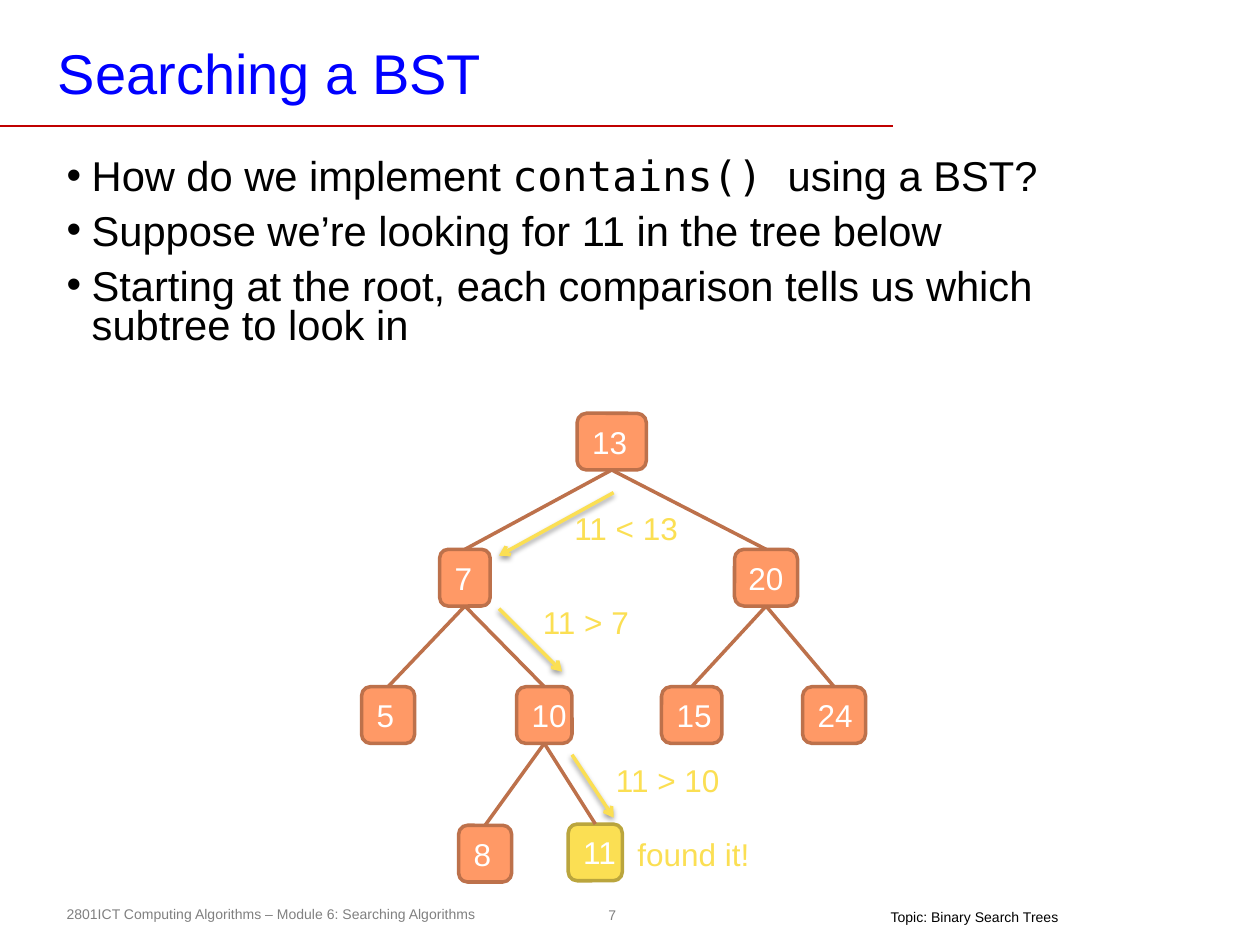
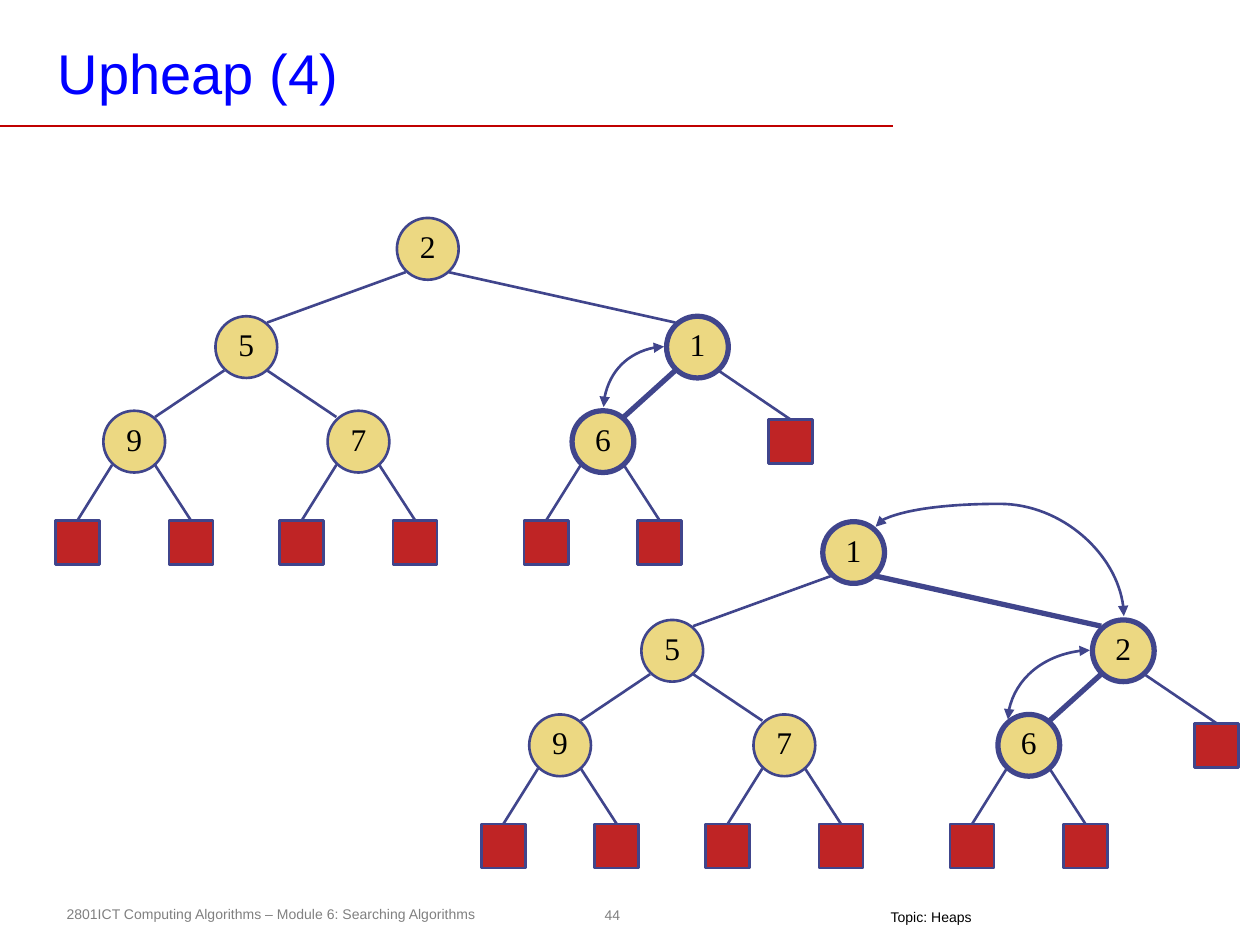
from lxml import etree
from pptx import Presentation
from pptx.dml.color import RGBColor
from pptx.enum.shapes import MSO_CONNECTOR, MSO_SHAPE
from pptx.enum.text import MSO_ANCHOR, PP_ALIGN
from pptx.oxml.ns import qn
from pptx.util import Inches, Pt

RECT, ROUND, OVAL = MSO_SHAPE.RECTANGLE, MSO_SHAPE.ROUNDED_RECTANGLE, MSO_SHAPE.OVAL
LINE, CURVE = MSO_CONNECTOR.STRAIGHT, MSO_CONNECTOR.CURVE
LEFT, CENTER = PP_ALIGN.LEFT, PP_ALIGN.CENTER
TOP, MIDDLE = MSO_ANCHOR.TOP, MSO_ANCHOR.MIDDLE

COLORS = {
    "title": "0000FF", "rule": "C00000", "footer": "808080",
    "black": "000000", "white": "FFFFFF",
    "node": "FF9966", "edge": "BD714B", "found": "FBDF53", "rim": "BAA53D",
    "disc": "ECD882", "leaf": "BF2425", "ink": "40458C",
}
SANS, MONO, SERIF = "Arial", "DejaVu Sans Mono", "Times New Roman"
PAD = (0.1, 0.05, 0.1, 0.05)
COURSE = "2801ICT Computing Algorithms – Module 6: Searching Algorithms"

# Search tree: value -> left, top, width, parent
TREE = {
    13: (4.58, 3.28, 0.55, None),
    7: (3.49, 4.36, 0.4, 13),
    20: (5.83, 4.36, 0.5, 13),
    5: (2.87, 5.45, 0.42, 7),
    10: (4.1, 5.45, 0.44, 7),
    15: (5.25, 5.45, 0.48, 20),
    24: (6.37, 5.45, 0.5, 20),
    8: (3.64, 6.55, 0.42, 10),
    11: (4.51, 6.54, 0.43, 10),
}
# Comparisons: arrow start, arrow end, label place, label
STEPS = [
    ((4.87, 3.91), (3.96, 4.41), (4.46, 3.99), "11 < 13"),
    ((3.96, 4.83), (4.46, 5.33), (4.21, 4.74), "11 > 7"),
    ((4.54, 5.99), (4.87, 6.49), (4.79, 5.99), "11 > 10"),
]
# Heap discs: centre x, centre y, index of the parent
DISCS = [
    (3.39, 1.97, None), (1.95, 2.75, 0), (5.53, 2.75, 0),
    (1.06, 3.5, 1), (2.84, 3.5, 1), (4.78, 3.5, 2),
]
LEAVES = [(6.27, 3.5, 2)] + [
    (DISCS[i][0] + side * 0.45, DISCS[i][1] + 0.8, i)
    for i in (3, 4, 5) for side in (-1, 1)
]


def rgb(name):
    return RGBColor.from_string(COLORS[name])


def style(run, size, color, font):
    run.font.size = Pt(size)
    run.font.name = font
    run.font.color.rgb = rgb(color)


def write(shape, text, size, color, font=SANS, align=LEFT, pad=PAD,
          anchor=TOP, wrap=False):
    frame = shape.text_frame
    frame.text = text
    frame.word_wrap = wrap
    frame.vertical_anchor = anchor
    (frame.margin_left, frame.margin_top,
     frame.margin_right, frame.margin_bottom) = map(Inches, pad)
    para = frame.paragraphs[0]
    para.alignment = align
    style(para.runs[0], size, color, font)


def label(slide, box, text, size, color, pad=PAD):
    shape = slide.shapes.add_textbox(*map(Inches, box))
    write(shape, text, size, color, pad=pad, wrap=True)


def block(slide, kind, box, fill=None, line=None, width=1.5):
    shape = slide.shapes.add_shape(kind, *map(Inches, box))
    shape.shadow.inherit = False
    if fill:
        shape.fill.solid()
        shape.fill.fore_color.rgb = rgb(fill)
        shape.line.color.rgb = rgb(line)
        shape.line.width = Pt(width)
    else:
        shape.fill.background()
        shape.line.fill.background()
    return shape


def link(slide, start, end, color, width, kind=LINE, head=None, tail=None):
    """Draw a connector without shadow and give it back."""
    line = slide.shapes.add_connector(kind, *map(Inches, (*start, *end)))
    line.line.color.rgb = rgb(color)
    line.line.width = Pt(width)
    ln = line.line._get_or_add_ln()
    for tag, tip in (("a:headEnd", head), ("a:tailEnd", tail)):
        if tip:
            etree.SubElement(ln, qn(tag), type=tip)
    etree.SubElement(line._element.spPr, qn("a:effectLst"))
    return line


def shade(line):
    """Cast a soft shadow straight down."""
    effects = line._element.spPr.find(qn("a:effectLst"))
    outer = etree.SubElement(effects, qn("a:outerShdw"), blurRad=str(Pt(3.1)),
                             dist=str(Pt(1.6)), dir="5400000", rotWithShape="0")
    tone = etree.SubElement(outer, qn("a:srgbClr"), val=COLORS["black"])
    etree.SubElement(tone, qn("a:alpha"), val="38000")


def swap(slide, box, turn, flip, preset, bend=None):
    """Draw a curved double arrow in a turned and flipped box."""
    x, y, w, h = box
    line = link(slide, (x, y), (x + w, y + h), "ink", 1.5, CURVE,
                "triangle", "triangle")
    props = line._element.spPr
    xfrm = props.find(qn("a:xfrm"))
    xfrm.set("rot", str(turn * 60000))
    xfrm.set(flip, "1")
    geom = props.find(qn("a:prstGeom"))
    geom.set("prst", preset)
    if bend:
        guides = geom.find(qn("a:avLst"))
        etree.SubElement(guides, qn("a:gd"), name="adj1", fmla=f"val {bend}")


def page(prs, title, number, topic):
    """Add a slide with the shared title, rule and footers."""
    slide = prs.slides.add_slide(prs.slide_layouts[6])
    mark = block(slide, OVAL, (4.74, 7.13, 0.24, 0.26))
    write(mark, number, 8, "footer", align=CENTER, pad=(0.04,) * 4, anchor=MIDDLE)
    label(slide, (0.43, 7.14, 3.64, 0.24), COURSE, 8, "footer")
    link(slide, (0, 1), (7.09, 1), "rule", 1)
    label(slide, (0.39, 0.28, 7.42, 0.6), title, 32, "title",
          (0.07, 0.03, 0.07, 0.03))
    label(slide, (6.97, 7.21, 2, 0.17), topic, 8, "black", (0.1, 0, 0.1, 0.04))
    return slide


def bullets(slide, box, items):
    """Each item is a list of (text, font) parts."""
    frame = slide.shapes.add_textbox(*map(Inches, box)).text_frame
    frame.word_wrap = True
    for i, parts in enumerate(items):
        para = frame.add_paragraph() if i else frame.paragraphs[0]
        para.line_spacing = 0.77
        para.space_before = Pt(9.3)
        props = para._p.get_or_add_pPr()
        props.set("marL", str(Inches(0.2)))
        props.set("indent", str(Inches(-0.2)))
        etree.SubElement(props, qn("a:buFont"), typeface=SANS)
        etree.SubElement(props, qn("a:buChar"), char="•")
        for text, font in parts:
            run = para.add_run()
            run.text = text
            style(run, 23.8, "black", font)


def tree(slide):
    nodes = {}
    for value, (x, y, w, above) in TREE.items():
        fill, line = ("found", "rim") if value == 11 else ("node", "edge")
        node = block(slide, ROUND, (x, y, w, 0.45), fill, line, 2)
        write(node, str(value), 18, "white", anchor=MIDDLE,
              align=CENTER if value == 20 else LEFT)
        nodes[value] = node
        if above:
            edge = link(slide, (0, 0), (1, 1), "edge", 2)
            edge.begin_connect(nodes[above], 2)
            edge.end_connect(node, 0)


def heap(slide, dx, dy, values, bold):
    """Draw the heap moved by dx, dy; bold holds the swapped discs."""
    def weight(*ids):
        return 3 if bold.issuperset(ids) else 1.5

    def branch(above, x, y, inset, width):
        px, py, _ = DISCS[above]
        side = 1 if x > px else -1
        start = (px + side * 0.17 + dx, py + 0.19 + dy)
        return link(slide, start, (x - side * inset + dx, y + dy), "ink", width)

    # Discs
    for i, (x, y, above) in enumerate(DISCS):
        disc = block(slide, OVAL, (x - 0.24 + dx, y - 0.24 + dy, 0.49, 0.49),
                     "disc", "ink", weight(i))
        write(disc, values[i], 18, "black", SERIF, CENTER, (0, 0, 0, 0.05), MIDDLE)
        if above is not None:
            branch(above, x, y - 0.19, 0.17, weight(i, above))

    # Empty leaves
    for x, y, above in LEAVES:
        leaf = block(slide, RECT, (x - 0.17 + dx, y - 0.17 + dy, 0.35, 0.35),
                     "leaf", "ink")
        branch(above, x, y - 0.17, 0, 1.5).end_connect(leaf, 0)


def main():
    prs = Presentation()
    prs.slide_width, prs.slide_height = Inches(10), Inches(7.5)

    # Searching a BST
    slide = page(prs, "Searching a BST", "7", "Topic: Binary Search Trees")
    bullets(slide, (0.43, 1.23, 9, 1.75), [
        [("How do we implement ", SANS), ("contains() ", MONO), ("using a BST?", SANS)],
        [("Suppose we’re looking for 11 in the tree below", SANS)],
        [("Starting at the root, each comparison tells us which subtree to look in", SANS)],
    ])
    tree(slide)
    for start, end, spot, text in STEPS:
        shade(link(slide, start, end, "found", 2, tail="arrow"))
        label(slide, (*spot, 1.17, 0.4), text, 18, "found")
    label(slide, (4.96, 6.58, 1.17, 0.4), "found it!", 18, "found")

    # Upheap
    slide = page(prs, "Upheap (4)", "44", "Topic: Heaps")
    heap(slide, 0, 0, "251976", {2, 5})
    swap(slide, (4.79, 2.75, 0.48, 0.48), 180, "flipV", "curvedConnector2")
    heap(slide, 3.38, 2.41, "152976", {0, 2, 5})
    swap(slide, (8, 5.16, 0.65, 0.55), 180, "flipV", "curvedConnector2")
    swap(slide, (7.58, 3.55, 0.71, 1.97), 90, "flipH", "curvedConnector3", 125600)

    prs.save("out.pptx")


if __name__ == "__main__":
    main()
